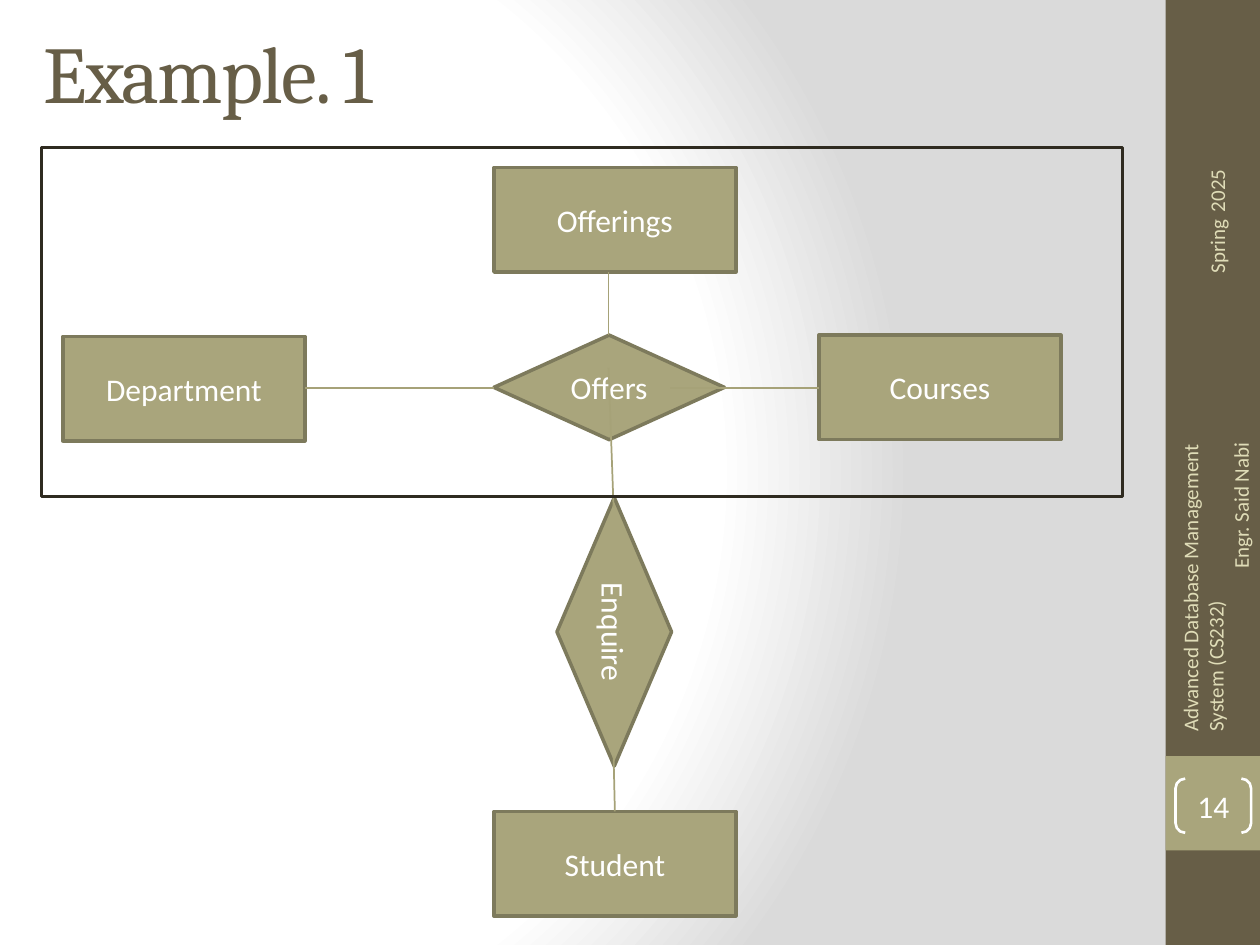
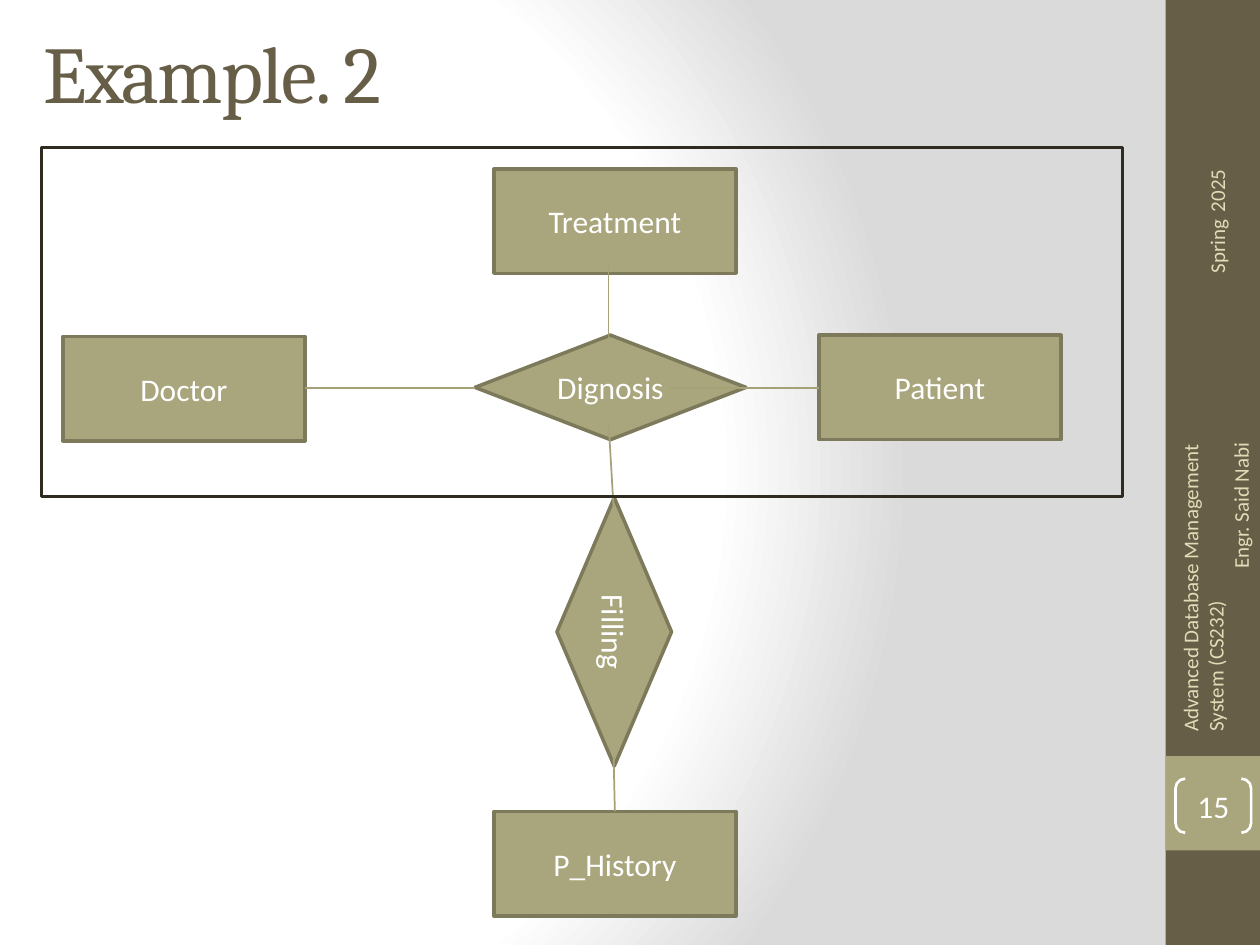
from dataclasses import dataclass
from typing import Any, NamedTuple, Optional

import lxml.etree
import pptx
import pptx.dml.color
import pptx.enum.shapes
import pptx.enum.text
import pptx.oxml.ns
import pptx.util

Inches = pptx.util.Inches
Pt = pptx.util.Pt
SHAPE = pptx.enum.shapes.MSO_SHAPE
ALIGN = pptx.enum.text.PP_ALIGN
ANCHOR = pptx.enum.text.MSO_ANCHOR

WHITE, DARK, OLIVE, EDGE = "FFFFFF", "675E47", "A9A57C", "7D7A5C"
LINK, FRAME, FOOTER = "A6A278", "2F2B20", "DFDCB7"
BODY_FONT, TITLE_FONT = "Calibri", "Cambria"
GRADIENT_STOPS = ((0, "FFFFFF"), (75, "FFFFFF"), (100, "DADADA"))
GRADIENT_FOCUS = {"l": 20, "t": 50, "r": 100, "b": 50}
ENTITY_W, NODE_H = 1.92, 0.83


class Box(NamedTuple):
    x: float
    y: float
    w: float
    h: float


class Link(NamedTuple):
    x1: float
    y1: float
    x2: float
    y2: float


@dataclass
class Node:
    box: Box
    text: str = ""
    kind: Any = SHAPE.RECTANGLE
    fill: Optional[str] = OLIVE
    line: Optional[str] = EDGE
    width: float = 2
    rotation: float = 0


@dataclass
class Example:
    title: str
    number: str
    left: str
    right: str
    top: str
    relation: str
    link: str
    bottom: str
    relation_x: float
    relation_w: float
    top_y: float
    top_link: Link
    down_start: float


EXAMPLES = (
    Example("Example. 1", "14", "Department", "Courses", "Offerings", "Offers",
            "Enquire", "Student", 3.92, 1.83, 1.33,
            Link(4.83, 2.16, 4.83, 2.66), 2.92),
    Example("Example. 2", "15", "Doctor", "Patient", "Treatment", "Dignosis",
            "Filling", "P_History", 3.77, 2.15, 1.34,
            Link(4.83, 2.1, 4.83, 2.7), 3.35),
)


def rgb(color: str) -> pptx.dml.color.RGBColor:
    return pptx.dml.color.RGBColor.from_string(color)


def assign(target: Any, values: dict) -> None:
    for name, value in values.items():
        setattr(target, name, value)


def add_run(p: Any, text: str, size: float, color: str, font: str = BODY_FONT) -> Any:
    r = p.add_run()
    r.text = text
    assign(r.font, {"size": Pt(size), "name": font})
    r.font.color.rgb = rgb(color)
    return r


def add_node(s: Any, node: Node) -> Any:
    sp = s.shapes.add_shape(node.kind, *map(Inches, node.box))
    sp.shadow.inherit = False
    sp.rotation = node.rotation
    if node.fill:
        sp.fill.solid()
        sp.fill.fore_color.rgb = rgb(node.fill)
    else:
        sp.fill.background()
    if node.line:
        sp.line.color.rgb = rgb(node.line)
        sp.line.width = Pt(node.width)
    else:
        sp.line.fill.background()
    if node.text:
        assign(sp.text_frame, {"word_wrap": True, "vertical_anchor": ANCHOR.MIDDLE})
        p = sp.text_frame.paragraphs[0]
        p.alignment = ALIGN.CENTER
        add_run(p, node.text, 18, WHITE)
    return sp


def add_link(s: Any, link: Link) -> None:
    line = s.shapes.add_connector(
        pptx.enum.shapes.MSO_CONNECTOR.STRAIGHT, *map(Inches, link))
    line.line.color.rgb = rgb(LINK)
    line.line.width = Pt(1)
    lxml.etree.SubElement(line.element.spPr, pptx.oxml.ns.qn("a:effectLst"))


def add_text(s: Any, box: Box, rotation: float = 0, **frame_format: Any) -> Any:
    sp = s.shapes.add_textbox(*map(Inches, box))
    sp.rotation = rotation
    assign(sp.text_frame, {"word_wrap": True, "vertical_anchor": ANCHOR.MIDDLE,
                           **frame_format})
    return sp.text_frame


def add_background(s: Any) -> None:
    qn = pptx.oxml.ns.qn
    s.background.fill.gradient()
    grad = next(s.element.iter(qn("a:gradFill")))
    for child in list(grad):
        grad.remove(child)
    stops = lxml.etree.SubElement(grad, qn("a:gsLst"))
    for position, color in GRADIENT_STOPS:
        stop = lxml.etree.SubElement(stops, qn("a:gs"), pos=str(position * 1000))
        lxml.etree.SubElement(stop, qn("a:srgbClr"), val=color)
    circle = lxml.etree.SubElement(grad, qn("a:path"), path="circle")
    focus = {side: str(value * 1000) for side, value in GRADIENT_FOCUS.items()}
    lxml.etree.SubElement(circle, qn("a:fillToRect"), focus)


def add_sidebar(s: Any, number: str) -> None:
    add_node(s, Node(Box(9.25, 0, 0.75, 7.5), fill=DARK, line=None))
    add_node(s, Node(Box(9.25, 6, 0.75, 0.75), line=None))

    tf = add_text(s, Box(8.35, 4.51, 2.59, 0.4), 270)
    p = tf.paragraphs[0]
    p.alignment = ALIGN.LEFT
    p._p.get_or_add_pPr().set("marL", str(Inches(0.1)))
    add_run(p, "Advanced Database Management System (CS232)", 12, FOOTER)
    p = tf.add_paragraph()
    p.alignment = ALIGN.RIGHT
    add_run(p, "Engr. Said Nabi", 12, FOOTER)

    tf = add_text(s, Box(9.11, 1.55, 1.03, 0.4), 270,
                  word_wrap=False, vertical_anchor=ANCHOR.TOP)
    for text, size in (("Spring", 12), (" ", 18), ("2025", 12)):
        add_run(tf.paragraphs[0], text, size, FOOTER)

    sp = add_node(s, Node(Box(9.33, 6.18, 0.6, 0.43), number, SHAPE.DOUBLE_BRACKET,
                          None, WHITE, 1.5))
    sp.adjustments[0] = 0.179
    sides = ("left", "top", "right", "bottom")
    assign(sp.text_frame, {f"margin_{side}": 0 for side in sides})


def add_title(s: Any, title: str) -> None:
    tf = add_text(s, Box(0.25, -0.06, 8.33, 1.25))
    r = add_run(tf.paragraphs[0], title, 46, DARK, TITLE_FONT)
    r.font._element.set("spc", "-100")


def add_diagram(s: Any, ex: Example) -> None:
    entities = ((ex.left, 0.5, 2.67), (ex.right, 6.5, 2.66),
                (ex.bottom, 3.92, 6.44), (ex.top, 3.92, ex.top_y))
    for text, x, y in entities:
        add_node(s, Node(Box(x, y, ENTITY_W, NODE_H), text))
    add_node(s, Node(Box(ex.relation_x, 2.66, ex.relation_w, NODE_H),
                     ex.relation, SHAPE.DIAMOND))
    add_node(s, Node(Box(3.81, 4.56, 2.13, 0.91), ex.link, SHAPE.DIAMOND, rotation=90))
    for link in (Link(2.42, 3.08, ex.relation_x, 3.08), Link(5.32, 3.08, 6.5, 3.08),
                 Link(4.83, ex.down_start, 4.87, 4.03), Link(4.87, 6, 4.88, 6.44),
                 ex.top_link):
        add_link(s, link)
    add_node(s, Node(Box(0.33, 1.17, 8.58, 2.77), fill=None, line=FRAME))


def main() -> None:
    prs = pptx.Presentation()
    assign(prs, {"slide_width": Inches(10), "slide_height": Inches(7.5)})
    for ex in EXAMPLES:
        s = prs.slides.add_slide(prs.slide_layouts[6])
        add_background(s)
        add_sidebar(s, ex.number)
        add_title(s, ex.title)
        add_diagram(s, ex)
    prs.save("out.pptx")


if __name__ == "__main__":
    main()
